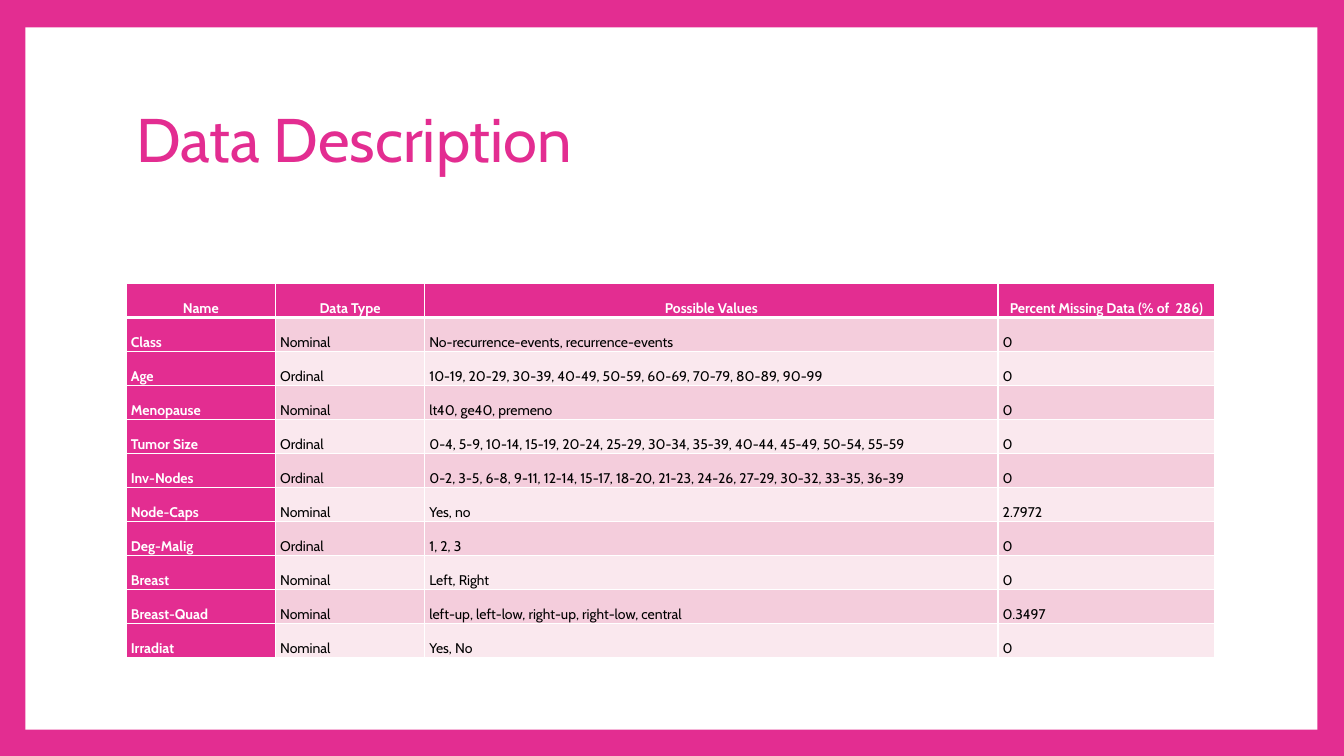
import lxml.etree
import pptx
import pptx.dml.color
import pptx.enum.shapes
import pptx.enum.text
import pptx.oxml.ns
import pptx.util

Cm = pptx.util.Cm
Pt = pptx.util.Pt
RGBColor = pptx.dml.color.RGBColor
PP_ALIGN = pptx.enum.text.PP_ALIGN

PINK = RGBColor(0xE3, 0x2D, 0x91)
WHITE = RGBColor(0xFF, 0xFF, 0xFF)
BLACK = RGBColor(0x00, 0x00, 0x00)
BANDS = (RGBColor(0xFA, 0xE8, 0xEE), RGBColor(0xF4, 0xCD, 0xDC))

LEFT, CONTENT_WIDTH = 3.18, 27.43
COLUMN_WIDTHS = (3.76, 3.76, 14.45, 5.46)
ROW_HEIGHT = 0.82

ATTRIBUTES = (
    ("Name", "Data Type", "Possible Values", "Percent Missing Data (% of  286)"),
    ("Class", "Nominal", "No-recurrence-events, recurrence-events", "0"),
    ("Age", "Ordinal", "10-19, 20-29, 30-39, 40-49, 50-59, 60-69, 70-79, 80-89, 90-99", "0"),
    ("Menopause", "Nominal", "lt40, ge40, premeno", "0"),
    ("Tumor Size", "Ordinal",
     "0-4, 5-9, 10-14, 15-19, 20-24, 25-29, 30-34, 35-39, 40-44, 45-49, 50-54, 55-59", "0"),
    ("Inv-Nodes", "Ordinal",
     "0-2, 3-5, 6-8, 9-11, 12-14, 15-17, 18-20, 21-23, 24-26, 27-29, 30-32, 33-35, 36-39", "0"),
    ("Node-Caps", "Nominal", "Yes, no", "2.7972"),
    ("Deg-Malig", "Ordinal", "1, 2, 3", "0"),
    ("Breast", "Nominal", "Left, Right", "0"),
    ("Breast-Quad", "Nominal", "left-up, left-low, right-up, right-low, central", "0.3497"),
    ("Irradiat", "Nominal", "Yes, No", "0"),
)


class SlideBuilder:
    font_name = "Cabin"

    def __init__(self, slide):
        self.slide = slide

    def background(self, color):
        fill = self.slide.background.fill
        fill.solid()
        fill.fore_color.rgb = color

    def add_text(self, paragraph, text, size, color, bold=False):
        run = paragraph.add_run()
        run.text = text
        run.font.name = self.font_name
        run.font.size = Pt(size)
        run.font.color.rgb = color
        run.font.bold = bold

    def panel(self, left, top, width, height, color):
        shape = self.slide.shapes.add_shape(
            pptx.enum.shapes.MSO_SHAPE.RECTANGLE, Cm(left), Cm(top), Cm(width), Cm(height))
        shape.shadow.inherit = False
        shape.fill.solid()
        shape.fill.fore_color.rgb = color
        shape.line.fill.background()
        self.slide.shapes.title._element.addprevious(shape._element)

    def title(self, text, left, top, width, height):
        title = self.slide.shapes.title
        title.left, title.top = Cm(left), Cm(top)
        title.width, title.height = Cm(width), Cm(height)
        title.text_frame.word_wrap = True
        title.text_frame.vertical_anchor = pptx.enum.text.MSO_ANCHOR.MIDDLE
        paragraph = title.text_frame.paragraphs[0]
        paragraph.alignment = PP_ALIGN.LEFT
        paragraph.line_spacing = 0.9
        self.add_text(paragraph, text, 44, PINK)

    def border(self, cell, side, width):
        properties = cell._tc.get_or_add_tcPr()
        qn = pptx.oxml.ns.qn
        line = lxml.etree.SubElement(properties, qn("a:ln" + side), w=str(Pt(width)))
        fill = lxml.etree.SubElement(line, qn("a:solidFill"))
        lxml.etree.SubElement(fill, qn("a:srgbClr"), val=str(WHITE))

    def cell(self, cell, text, row, column):
        is_header = row == 0
        is_label = is_header or column == 0
        cell.margin_left = cell.margin_right = Cm(0.12)
        cell.margin_top = cell.margin_bottom = 0
        widths = {"L": 1, "R": 1, "T": 3 if row == 1 else 1, "B": 3 if is_header else 1}
        for side, width in widths.items():
            self.border(cell, side, width)
        cell.fill.solid()
        cell.fill.fore_color.rgb = PINK if is_label else BANDS[row % 2]
        paragraph = cell.text_frame.paragraphs[0]
        paragraph.alignment = PP_ALIGN.CENTER if is_header else PP_ALIGN.LEFT
        paragraph.line_spacing = 2.0
        paragraph.space_after = Pt(8)
        self.add_text(paragraph, text, 10, WHITE if is_label else BLACK, is_label)

    def table(self, rows, left, top, column_widths, row_height):
        frame = self.slide.shapes.add_table(
            len(rows), len(column_widths), Cm(left), Cm(top),
            Cm(sum(column_widths)), Cm(row_height * len(rows)))
        table = frame.table
        table.first_col = True
        for column, width in zip(table.columns, column_widths):
            column.width = Cm(width)
        for row, texts in enumerate(rows):
            table.rows[row].height = Cm(row_height)
            for column, text in enumerate(texts):
                self.cell(table.cell(row, column), text, row, column)


def main():
    presentation = pptx.Presentation()
    presentation.slide_width = Cm(33.87)
    presentation.slide_height = Cm(19.05)
    title_only = presentation.slide_layouts[5]
    builder = SlideBuilder(presentation.slides.add_slide(title_only))
    builder.background(PINK)
    builder.panel(0.64, 0.69, 32.56, 17.7, WHITE)
    builder.title("Data Description", LEFT, 1.7, CONTENT_WIDTH, 3.76)
    builder.table(ATTRIBUTES, LEFT, 7.14, COLUMN_WIDTHS, ROW_HEIGHT)
    presentation.save("out.pptx")


if __name__ == "__main__":
    main()
